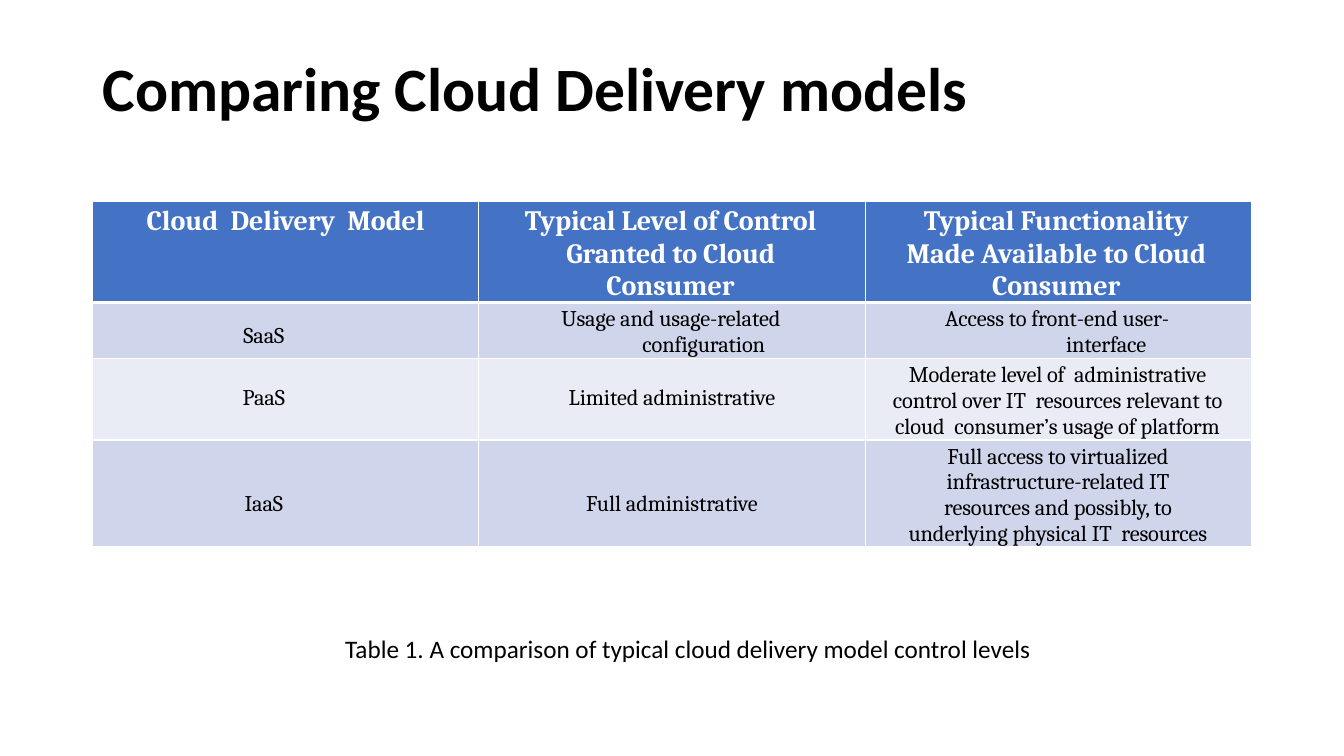
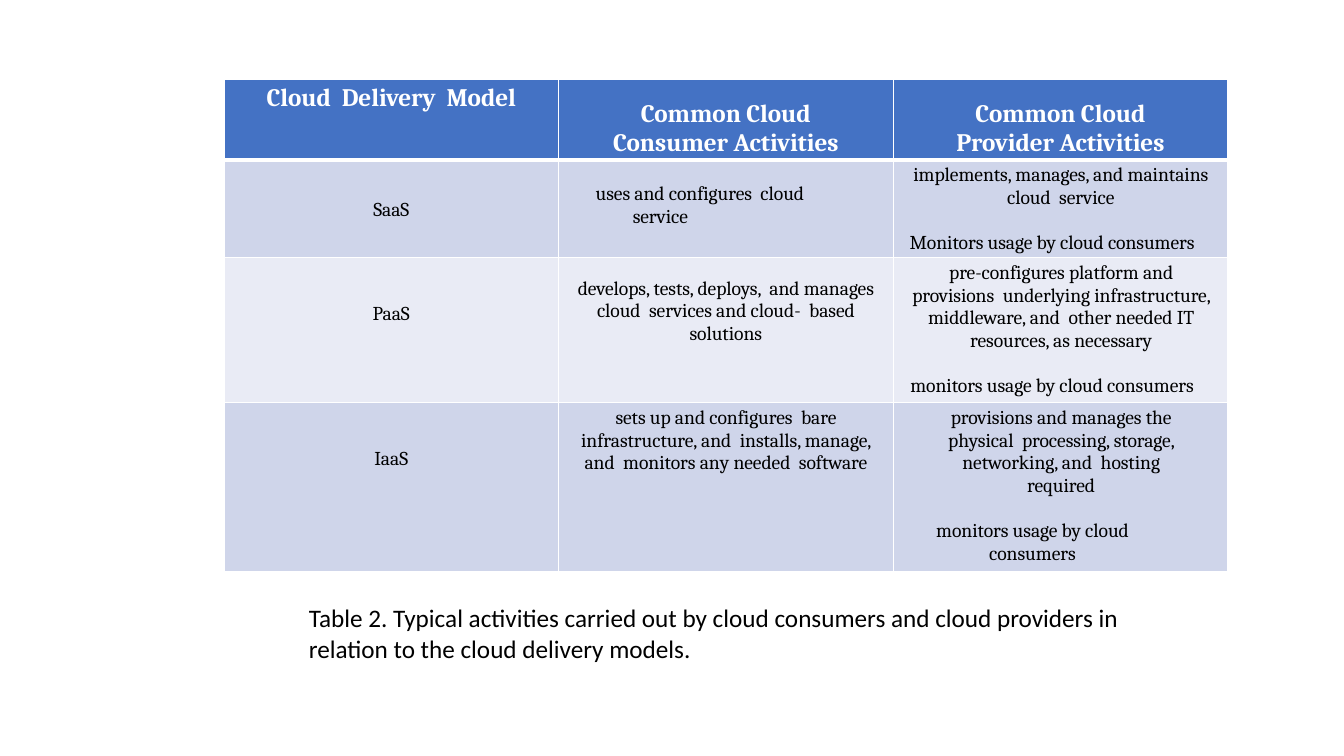
import dataclasses

import pptx
import pptx.dml.color
import pptx.enum.text
import pptx.oxml
import pptx.oxml.ns
import pptx.util

Pt = pptx.util.Pt
ALIGN = pptx.enum.text.PP_ALIGN
ANCHOR = pptx.enum.text.MSO_ANCHOR

COLORS = {
    "text": "000000",
    "header": "4472C4",
    "header_text": "FFFFFF",
    "border": "FFFFFF",
    "odd_row": "CFD5EA",
    "even_row": "E9EBF5",
}
TITLE_FONT = {"name": "Calibri", "size": Pt(44), "bold": True}
CAPTION_FONT = {"name": "Calibri", "size": Pt(18), "bold": False}
SIDES = ("lnL", "lnR", "lnT", "lnB")
LETTER_SPACING = "-5"


@dataclasses.dataclass
class Para:
    """Paragraph of a cell, with its indents and space before in points."""
    text: str
    left: float = 0
    right: float = 0
    first: float = 0
    before: float = 0
    align: object = ALIGN.CENTER


@dataclasses.dataclass
class Entry:
    """Table cell content below a top margin in points."""
    top: float
    paras: list


def entry(top, text, **indents):
    """Return an entry that holds a single paragraph."""
    return Entry(top, [Para(text, **indents)])


CONTROL_LEVELS = [
    [
        entry(3, "Cloud  Delivery  Model", left=8.5, right=8.5),
        entry(3, "Typical Level of Control Granted to Cloud Consumer", left=21, right=23),
        entry(3, "Typical Functionality Made Available to Cloud Consumer", left=19, right=22),
    ],
    [
        entry(15, "SaaS", right=31),
        entry(3, "Usage and usage-related configuration", left=83.5, first=-47, right=38),
        entry(3, "Access to front-end user-interface", left=104.5, first=-70, right=36),
    ],
    [
        entry(19, "PaaS", right=31),
        entry(19, "Limited administrative"),
        entry(3, "Moderate level of  administrative control over IT  resources "
                 "relevant to cloud  consumer’s usage of platform", left=10, right=11),
    ],
    [
        entry(36.5, "IaaS", right=31),
        entry(36.5, "Full administrative"),
        entry(3, "Full access to virtualized infrastructure-related IT resources "
                 "and possibly, to underlying physical IT  resources", left=29.5, right=30),
    ],
]

ACTIVITIES = [
    [
        entry(3, "Cloud  Delivery  Model", left=10, right=10),
        Entry(14, [Para("Common Cloud"), Para("Consumer Activities")]),
        Entry(14, [Para("Common Cloud"), Para("Provider Activities")]),
    ],
    [
        entry(28, "SaaS"),
        entry(16.5, "uses and configures  cloud service",
              left=53, first=-26.5, right=50, align=ALIGN.LEFT),
        Entry(3, [
            Para("implements, manages, and maintains cloud  service", left=11.5, right=11),
            Para("Monitors usage by cloud consumers", right=12, before=16.5),
        ]),
    ],
    [
        entry(32, "PaaS"),
        entry(14, "develops, tests, deploys,  and manages cloud  services "
                  "and cloud-  based solutions", left=9.5, right=9.5),
        Entry(3, [
            Para("pre-configures platform and provisions  underlying infrastructure, "
                 "middleware, and  other needed IT resources, as necessary",
                 left=12, right=11),
            Para("monitors usage by cloud consumers", right=12, before=16.5),
        ]),
    ],
    [
        entry(32, "IaaS"),
        entry(3, "sets up and configures  bare infrastructure, and  installs, "
                 "manage, and  monitors any needed  software", left=10, right=10),
        Entry(3, [
            Para("provisions and manages the physical  processing, storage, "
                 "networking, and  hosting required", left=39, right=38),
            Para("monitors usage by cloud consumers", right=40, before=16.5),
        ]),
    ],
]


def apply_format(target, values):
    """Set each named attribute of the target."""
    for attribute, value in values.items():
        setattr(target, attribute, value)


def color(name):
    """Return the named palette colour."""
    return pptx.dml.color.RGBColor.from_string(COLORS[name])


def style_run(run, font, color_name):
    """Format the run with font values and a palette colour."""
    apply_format(run.font, font)
    run.font.color.rgb = color(color_name)


def add_title(slide, text):
    """Fill and place the title placeholder."""
    title = slide.shapes.title
    apply_format(title, {"left": Pt(66), "top": Pt(28.8),
                         "width": Pt(828), "height": Pt(72.5)})
    title.text_frame.vertical_anchor = ANCHOR.MIDDLE
    paragraph = title.text_frame.paragraphs[0]
    apply_format(paragraph, {"alignment": ALIGN.LEFT, "line_spacing": 0.9})
    run = paragraph.add_run()
    run.text = text
    style_run(run, TITLE_FONT, "text")


def add_caption(slide, text, left, top, width, height):
    """Add a wrapped table caption."""
    caption = slide.shapes.add_textbox(Pt(left), Pt(top), Pt(width), Pt(height))
    caption.text_frame.word_wrap = True
    run = caption.text_frame.paragraphs[0].add_run()
    run.text = text
    style_run(run, CAPTION_FONT, "text")


def add_borders(cell, widths):
    """Draw the four cell borders with the given widths in points."""
    properties = cell._tc.get_or_add_tcPr()
    for side, width in zip(SIDES, widths):
        properties.append(pptx.oxml.parse_xml(
            f'<a:{side} {pptx.oxml.ns.nsdecls("a")} w="{Pt(width)}"><a:solidFill>'
            f'<a:srgbClr val="{COLORS["border"]}"/></a:solidFill></a:{side}>'))


def write_paragraph(paragraph, para, font, color_name):
    """Write one cell paragraph with its indents and spacing."""
    apply_format(paragraph, {"alignment": para.align, "space_before": Pt(para.before)})
    properties = paragraph._p.get_or_add_pPr()
    for name, points in {"marL": para.left, "marR": para.right, "indent": para.first}.items():
        properties.set(name, str(Pt(points)))
    run = paragraph.add_run()
    run.text = para.text
    style_run(run, font, color_name)
    run._r.get_or_add_rPr().set("spc", LETTER_SPACING)


def fill_cell(cell, content, row, header_size, body_size):
    """Style a cell by its row and write its content."""
    is_header = row == 0
    fill = "header" if is_header else "odd_row" if row % 2 else "even_row"
    font = {"name": "Cambria", "size": Pt(header_size if is_header else body_size),
            "bold": is_header}
    add_borders(cell, (1, 1, 3 if row == 1 else 1, 3 if is_header else 1))
    cell.fill.solid()
    cell.fill.fore_color.rgb = color(fill)
    apply_format(cell, {"margin_left": 0, "margin_right": 0, "margin_bottom": 0,
                        "margin_top": Pt(content.top), "vertical_anchor": ANCHOR.TOP})
    for index, para in enumerate(content.paras):
        frame = cell.text_frame
        paragraph = frame.add_paragraph() if index else frame.paragraphs[0]
        write_paragraph(paragraph, para, font, "header_text" if is_header else "text")


def add_model_table(slide, rows, left, top, width, heights, header_size, body_size):
    """Add a comparison table with equal columns."""
    frame = slide.shapes.add_table(len(rows), len(rows[0]), Pt(left), Pt(top),
                                   Pt(width), Pt(sum(heights)))
    table = frame.table
    apply_format(table, {"first_row": False, "horz_banding": False})
    for row, (entries, height) in enumerate(zip(rows, heights)):
        table.rows[row].height = Pt(height)
        for column, content in enumerate(entries):
            fill_cell(table.cell(row, column), content, row, header_size, body_size)


def main():
    """Build and save the two comparison slides."""
    deck = pptx.Presentation()
    apply_format(deck, {"slide_width": Pt(960), "slide_height": Pt(540)})

    control = deck.slides.add_slide(deck.slide_layouts[5])
    add_title(control, "Comparing Cloud Delivery models")
    add_model_table(control, CONTROL_LEVELS, 66, 144, 828, (70, 40, 58, 76), 20, 16)
    add_caption(control, "Table 1. A comparison of typical cloud delivery model "
                         "control levels", 239.5, 448.5, 590, 29)

    activities = deck.slides.add_slide(deck.slide_layouts[6])
    add_model_table(activities, ACTIVITIES, 160, 57, 717, (55, 67, 99, 115), 18, 14)
    add_caption(activities, "Table 2. Typical activities carried out by cloud consumers and "
                            "cloud providers in relation to the cloud delivery models.",
                213.5, 427, 647, 51)

    deck.save("out.pptx")


if __name__ == "__main__":
    main()
